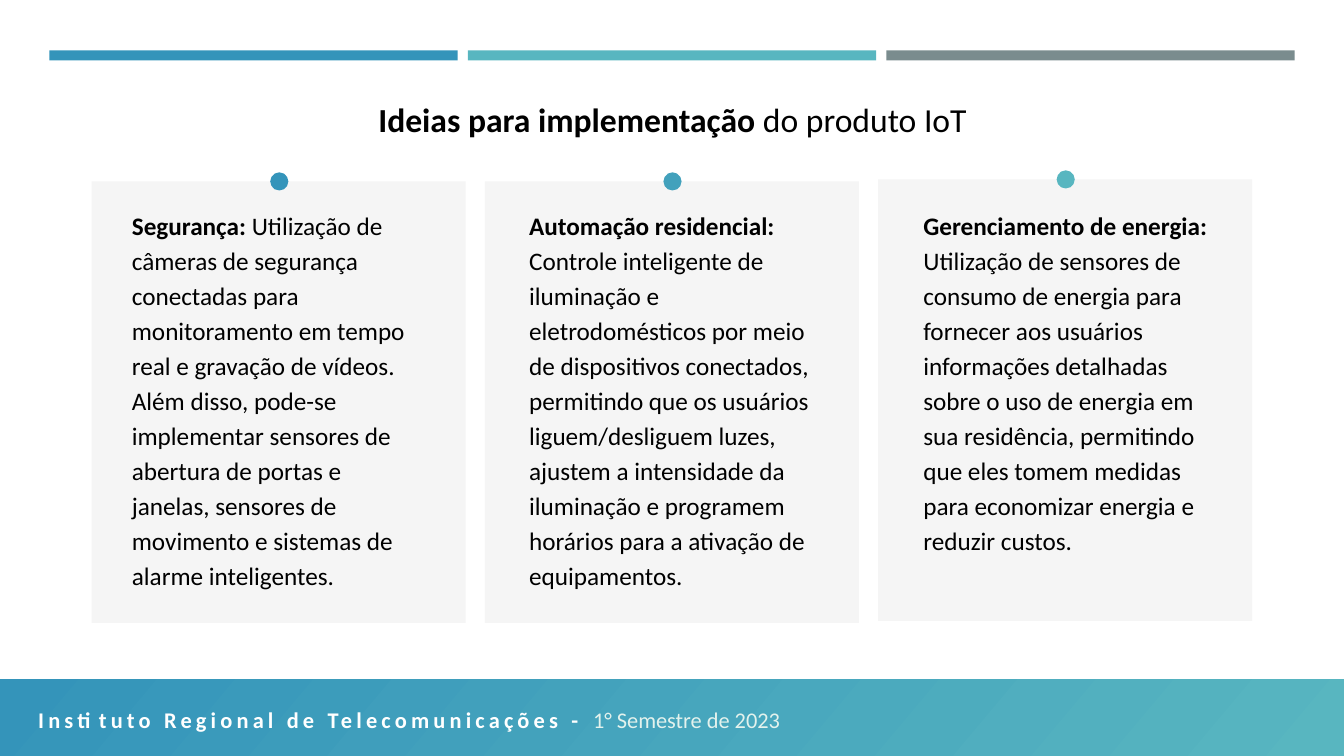
"""Build a slide with three cards of ideas for an IoT product."""
from dataclasses import dataclass

from pptx import Presentation
from pptx import util as u
from pptx.dml import color
from pptx.enum import shapes, text
from pptx.shapes import autoshape as auto
from pptx.shapes import shapetree as tree

PX = 9144
Box = tuple[int, int, int, int]
Tree = tree.SlideShapes | tree.GroupShapes
RECT = shapes.MSO_SHAPE.RECTANGLE
OVAL = shapes.MSO_SHAPE.OVAL
BLUE, TEAL, GRAY = "3494BA", "58B6C0", "7A8C8E"
PALE, BLACK, WHITE, MINT = "F5F5F5", "000000", "FFFFFF", "E3F2ED"


@dataclass
class Card:
    left: int
    top: int
    dot: str
    inset: int
    width: int
    height: int
    head: str
    body: str


CARDS = [
    Card(91, 180, BLUE, 30, 310, 394, "Segurança: ",
         "Utilização de câmeras de segurança conectadas para monitoramento em "
         "tempo real e gravação de vídeos. Além disso, pode-se implementar "
         "sensores de abertura de portas e janelas, sensores de movimento e "
         "sistemas de alarme inteligentes."),
    Card(481, 180, "42A1BC", 34, 306, 394, "Automação residencial: ",
         "Controle inteligente de iluminação e eletrodomésticos por meio de "
         "dispositivos conectados, permitindo que os usuários liguem/desliguem "
         "luzes, ajustem a intensidade da iluminação e programem horários para "
         "a ativação de equipamentos."),
    Card(871, 178, TEAL, 35, 303, 359, "Gerenciamento de energia: ",
         "Utilização de sensores de consumo de energia para fornecer aos "
         "usuários informações detalhadas sobre o uso de energia em sua "
         "residência, permitindo que eles tomem medidas para economizar "
         "energia e reduzir custos."),
]


def emu(box: Box) -> list[u.Emu]:
    return [u.Emu(n * PX) for n in box]


def rgb(code: str) -> color.RGBColor:
    return color.RGBColor.from_string(code)


def draw(area: Tree, kind: shapes.MSO_SHAPE, box: Box, fill: str) -> auto.Shape:
    shape = area.add_shape(kind, *emu(box))
    shape.shadow.inherit = False
    shape.fill.solid()
    shape.fill.fore_color.rgb = rgb(fill)
    shape.line.fill.background()
    return shape


def write(shape: auto.Shape, head: str, body: str, size: int,
          tints: tuple[str, str] = (BLACK, BLACK)) -> None:
    frame = shape.text_frame
    frame.word_wrap = True
    frame.auto_size = text.MSO_AUTO_SIZE.SHAPE_TO_FIT_TEXT
    frame.vertical_anchor = text.MSO_ANCHOR.TOP
    frame.text = head
    para = frame.paragraphs[0]
    para.add_run().text = body
    for run, tint, bold in zip(para.runs, tints, (True, False)):
        run.font.name = "Calibri"
        run.font.size = u.Pt(size)
        run.font.bold = bold
        run.font.color.rgb = rgb(tint)


def add_card(area: tree.SlideShapes, card: Card) -> None:
    group = area.add_group_shape().shapes
    draw(group, RECT, (card.left, card.top, 371, 438), PALE)
    box = (card.left + card.inset, 199, card.width, card.height)
    label = group.add_textbox(*emu(box))
    write(label, card.head, card.body, 18)
    label.text_frame.paragraphs[0].line_spacing = u.Pt(25)
    draw(group, OVAL, (card.left + 177, card.top - 9, 18, 18), card.dot)


def add_foot(area: tree.SlideShapes) -> None:
    band = draw(area, RECT, (0, 674, 1333, 76), BLUE)
    band.fill.gradient()
    band.fill.gradient_angle = 320
    for stop, tint in zip(band.fill.gradient_stops, (BLUE, TEAL)):
        stop.color.rgb = rgb(tint)
    label = area.add_textbox(*emu((28, 696, 1092, 37)))
    write(label, "Instituto Regional de Telecomunicações - ",
          "1° Semestre de 2023", 16, (WHITE, MINT))
    lead = label.text_frame.paragraphs[0].runs[0]
    lead._r.get_or_add_rPr().set("spc", "300")


def main() -> None:
    deck = Presentation()
    deck.slide_width, deck.slide_height = emu((1333, 750, 0, 0))[:2]
    slide = deck.slides.add_slide(deck.slide_layouts[5])
    area = slide.shapes
    for col, tint in enumerate((BLUE, TEAL, GRAY)):
        draw(area, RECT, (49 + 415 * col, 50, 405, 10), tint)
    add_foot(area)
    title = area.title
    title.left, title.top, title.width, title.height = emu((357, 93, 620, 50))
    write(title, "Ideias para implementação ", "do produto IoT", 24)
    title.text_frame.paragraphs[0].alignment = text.PP_ALIGN.CENTER
    for card in CARDS:
        add_card(area, card)
    deck.save("out.pptx")


if __name__ == "__main__":
    main()
